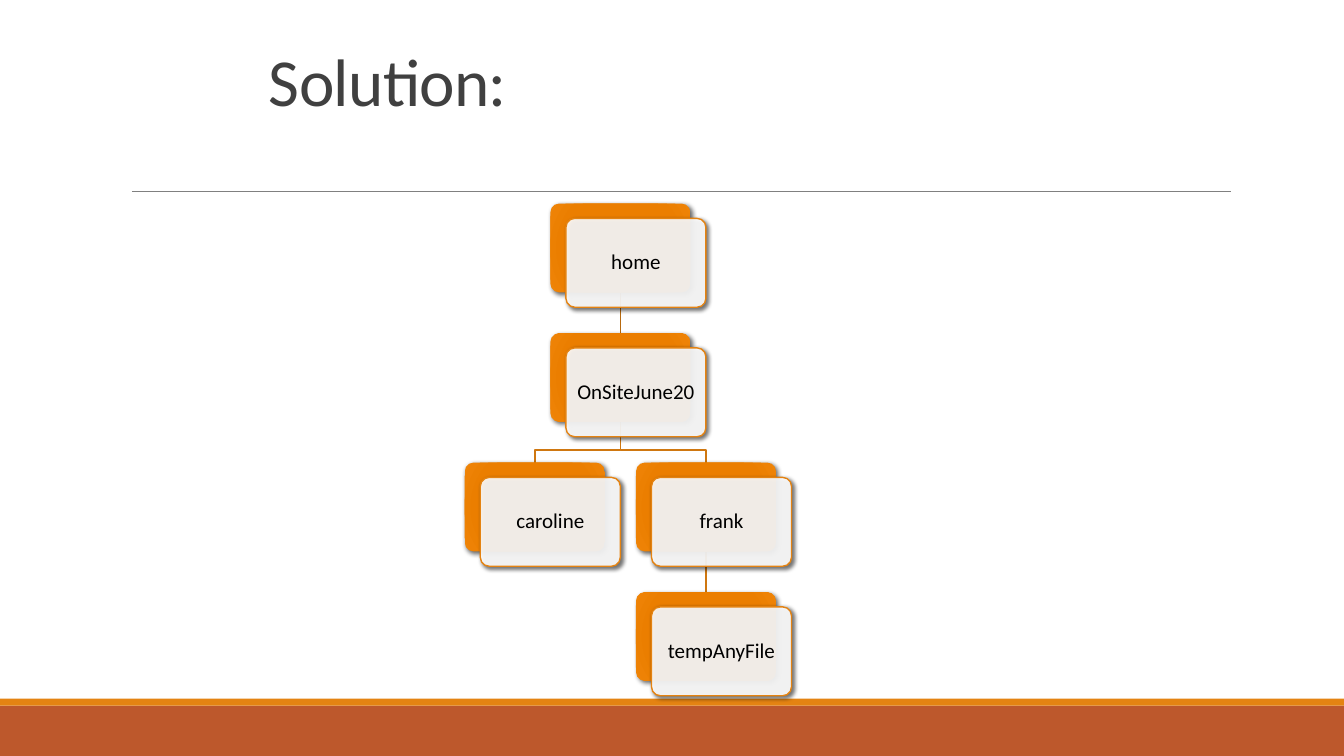
"""Build the slide that shows the solution as a folder tree."""
import pptx
import pptx.dml.color
import pptx.enum.shapes
import pptx.enum.text
import pptx.oxml
import pptx.oxml.ns
import pptx.util
import lxml.etree

Pt = pptx.util.Pt
qn = pptx.oxml.ns.qn
SHAPES = pptx.enum.shapes.MSO_SHAPE
ANCHOR = pptx.enum.text.MSO_ANCHOR
ALIGN = pptx.enum.text.PP_ALIGN

TITLE = "Solution:"
FOLDERS = {
    "home": (0.5, 0, None),
    "OnSiteJune20": (0.5, 1, "home"),
    "caroline": (0, 2, "OnSiteJune20"),
    "frank": (1, 2, "OnSiteJune20"),
    "tempAnyFile": (1, 3, "frank"),
}
COLORS = {
    "footer": "BD582C", "accent": "E48312", "rule": "808080", "title": "404040",
    "card": "FFFFFF", "text": "000000", "upper_link": "B7690E", "lower_link": "CF7710",
}
GRADIENT = [(0, "E57B00"), (34, "E87D00"), (70, "EB7E00"), (100, "EF8407")]
FONT = "Calibri"
WIDTH, HEIGHT = 960, 540
TREE_LEFT, TREE_TOP = 332, 145.4
COLUMN_STEP, ROW_STEP = 122.3, 92.5
BOX_WIDTH, BOX_HEIGHT = 100, 63.5
CARD_SHIFT_X, CARD_SHIFT_Y = 11.1, 10.6
ELBOW_RISE = 9.2


def rgb(name):
    return pptx.dml.color.RGBColor.from_string(COLORS[name])


def set_line(item, color, width):
    item.line.color.rgb = rgb(color)
    item.line.width = Pt(width)


def add_box(slide, kind, left, top, width, height, fill):
    shape = slide.shapes.add_shape(kind, Pt(left), Pt(top), Pt(width), Pt(height))
    shape.shadow.inherit = False
    shape.fill.solid()
    shape.fill.fore_color.rgb = rgb(fill)
    shape.line.fill.background()
    return shape


def add_straight(slide, start, end, color, width):
    points = [Pt(value) for value in (*start, *end)]
    connector = slide.shapes.add_connector(pptx.enum.shapes.MSO_CONNECTOR.STRAIGHT, *points)
    set_line(connector, color, width)
    lxml.etree.SubElement(connector._element.spPr, qn("a:effectLst"))


def add_elbow(slide, start, end, color, width):
    turn = end[1] - ELBOW_RISE
    corners = [(start[0], turn), (end[0], turn), end]
    builder = slide.shapes.build_freeform(Pt(start[0]), Pt(start[1]))
    builder.add_line_segments([(Pt(x), Pt(y)) for x, y in corners], close=False)
    shape = builder.convert_to_shape()
    shape.shadow.inherit = False
    shape.fill.background()
    set_line(shape, color, width)


def add_shadow(shape, blur):
    effects = shape._element.spPr.find(qn("a:effectLst"))
    effects.append(pptx.oxml.parse_xml(
        f'<a:outerShdw {pptx.oxml.ns.nsdecls("a")} blurRad="{Pt(blur)}" dist="{Pt(2)}" '
        'dir="2700000" algn="tl" rotWithShape="0"><a:srgbClr val="000000">'
        '<a:alpha val="60000"/></a:srgbClr></a:outerShdw>'))


def set_gradient(shape):
    stops = "".join(f'<a:gs pos="{place * 1000}"><a:srgbClr val="{color}"/></a:gs>'
                    for place, color in GRADIENT)
    properties = shape._element.spPr
    properties.replace(properties.find(qn("a:solidFill")), pptx.oxml.parse_xml(
        f'<a:gradFill {pptx.oxml.ns.nsdecls("a")} rotWithShape="1"><a:gsLst>{stops}</a:gsLst>'
        '<a:path path="circle"><a:fillToRect l="100000" t="100000" r="100000" b="100000"/>'
        '</a:path></a:gradFill>'))


def write(frame, text, size, color, spacing, anchor, align):
    frame.word_wrap = True
    frame.vertical_anchor = anchor
    paragraph = frame.paragraphs[0]
    paragraph.alignment = align
    paragraph.line_spacing = spacing
    run = paragraph.add_run()
    run.text = text
    run.font.size = Pt(size)
    run.font.name = FONT
    run.font.color.rgb = rgb(color)
    return run


def add_folder(slide, name, left, top):
    back = add_box(slide, SHAPES.ROUNDED_RECTANGLE, left, top, BOX_WIDTH, BOX_HEIGHT, "accent")
    set_gradient(back)
    add_shadow(back, 3.5)
    card = add_box(slide, SHAPES.ROUNDED_RECTANGLE, left + CARD_SHIFT_X, top + CARD_SHIFT_Y,
                   BOX_WIDTH, BOX_HEIGHT, "card")
    color = card._element.spPr.find(qn("a:solidFill"))[0]
    lxml.etree.SubElement(color, qn("a:alpha")).set("val", "90000")
    set_line(card, "accent", 1)
    add_shadow(card, 3)
    back.adjustments[0] = card.adjustments[0] = 0.1
    frame = card.text_frame
    frame.margin_left = frame.margin_right = Pt(6)
    frame.margin_top = frame.margin_bottom = Pt(6)
    write(frame, name, 15, "text", 0.9, ANCHOR.MIDDLE, ALIGN.CENTER)


def add_tree(slide):
    places = {name: (TREE_LEFT + column * COLUMN_STEP, TREE_TOP + row * ROW_STEP)
              for name, (column, row, parent) in FOLDERS.items()}
    for name, (column, row, parent) in reversed(FOLDERS.items()):
        if parent:
            start = (places[parent][0] + BOX_WIDTH / 2, places[parent][1] + BOX_HEIGHT)
            end = (places[name][0] + BOX_WIDTH / 2, places[name][1])
            draw = add_straight if start[0] == end[0] else add_elbow
            draw(slide, start, end, "upper_link" if row == 1 else "lower_link", 1.25)
    for name, (left, top) in places.items():
        add_folder(slide, name, left, top)


def main():
    presentation = pptx.Presentation()
    presentation.slide_width, presentation.slide_height = Pt(WIDTH), Pt(HEIGHT)
    slide = presentation.slides.add_slide(presentation.slide_layouts[6])
    add_box(slide, SHAPES.RECTANGLE, 0, 504, WIDTH, 36, "footer")
    add_box(slide, SHAPES.RECTANGLE, 0, 499, WIDTH, 5, "accent")
    add_straight(slide, (94.3, 136.8), (879, 136.8), "rule", 0.5)
    title = slide.shapes.add_textbox(Pt(185), Pt(22.3), Pt(594), Pt(67))
    run = write(title.text_frame, TITLE, 48, "title", 0.85, ANCHOR.BOTTOM, ALIGN.LEFT)
    run.font._element.set("spc", "-50")
    add_tree(slide)
    presentation.save("out.pptx")


if __name__ == "__main__":
    main()
